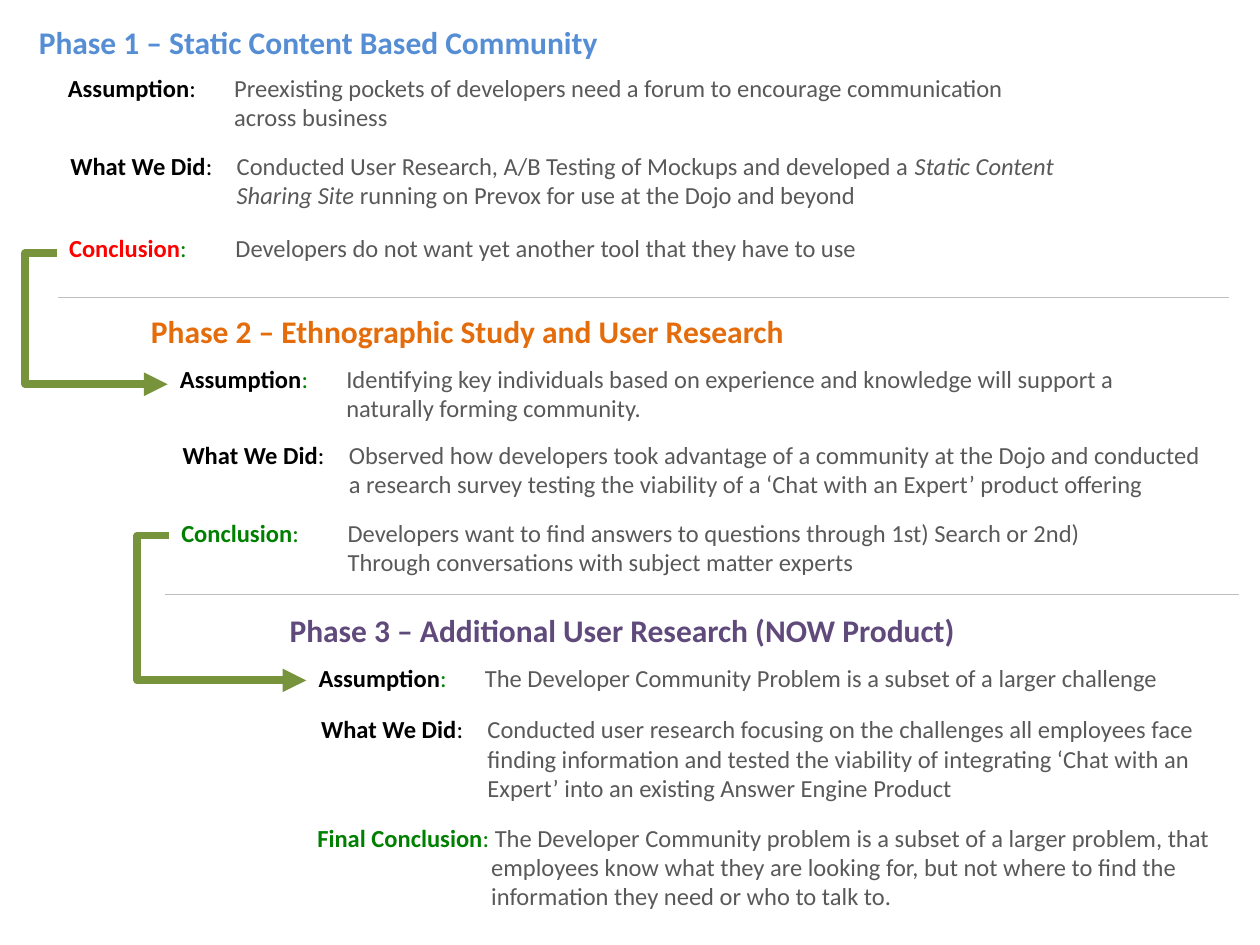
from lxml import etree
from pptx import Presentation
from pptx.dml.color import RGBColor
from pptx.enum.shapes import MSO_CONNECTOR
from pptx.enum.text import MSO_AUTO_SIZE
from pptx.oxml.ns import qn
from pptx.util import Inches, Pt

STRAIGHT = MSO_CONNECTOR.STRAIGHT
ELBOW = MSO_CONNECTOR.ELBOW
GROW = MSO_AUTO_SIZE.SHAPE_TO_FIT_TEXT

FONT = "Calibri"
BLACK, GREEN, RED, GRAY = "000000", "008000", "FF0000", "595959"
OLIVE, RULE = "77933C", "BFBFBF"
HANG = 1.32
RAIL = 0.25

# Row: label, label colour, colon colour, separator, body spans, left offset, top offset, width, hang
PHASES = [
    {
        "title": "Phase 1 – Static Content Based Community",
        "color": "558ED5", "left": 0.21, "top": 0.13, "width": 4.73,
        "rows": [
            ("Assumption", BLACK, BLACK, "\t",
             [("Preexisting pockets of developers need a forum to encourage "
               "communication across business", False)], 0.23, 0.4, 8.08, HANG),
            ("What We Did", BLACK, BLACK, "\t",
             [("Conducted User Research, A/B Testing of Mockups and developed a ", False),
              ("Static Content Sharing Site ", True),
              ("running on Prevox for use at the Dojo and beyond", False)],
             0.25, 1.02, 8.08, HANG),
            ("Conclusion", RED, GREEN, "\t",
             [("Developers do not want yet another tool that they have to use", False)],
             0.24, 1.67, 8.08, HANG),
        ],
    },
    {
        "title": "Phase 2 – Ethnographic Study and User Research",
        "color": "E46C0A", "left": 1.1, "top": 2.43, "width": 5.7,
        "rows": [
            ("Assumption", BLACK, GREEN, "\t",
             [("Identifying key individuals based on experience and knowledge will "
               "support a naturally forming community.", False)], 0.23, 0.41, 7.99, HANG),
            ("What We Did", BLACK, BLACK, "\t",
             [("Observed how developers took advantage of a community at the Dojo and "
               "conducted a research survey testing the viability of a ‘Chat with an "
               "Expert’ product offering", False)], 0.25, 1.01, 8.32, HANG),
            ("Conclusion", GREEN, GREEN, "\t",
             [("Developers want to find answers to questions through 1st) Search or 2nd) "
               "Through conversations with subject matter experts", False)],
             0.24, 1.63, 7.99, HANG),
        ],
    },
    {
        "title": "Phase 3 – Additional User Research (NOW Product)",
        "color": "604A7B", "left": 2.2, "top": 4.8, "width": 5.87,
        "rows": [
            ("Assumption", BLACK, GREEN, "\t",
             [("The Developer Community Problem is a subset of a larger challenge", False)],
             0.23, 0.41, 7.42, HANG),
            ("What We Did", BLACK, BLACK, "\t",
             [("Conducted user research focusing on the challenges all employees face "
               "finding information and tested the viability of integrating ‘Chat with "
               "an Expert’ into an existing Answer Engine Product", False)],
             0.25, 0.82, 7.55, HANG),
            ("Final Conclusion", GREEN, GREEN, " ",
             [("The Developer Community problem is a subset of a larger problem, that "
               "employees know what they are looking for, but not where to find the "
               "information they need or who to talk to.", False)],
             0.22, 1.68, 7.56, 1.38),
        ],
    },
]


def rgb(value):
    """Turn a hex string into a colour."""
    return RGBColor.from_string(value)


def add_text(page, left, top, width, spans, size, hang=0):
    """Add one paragraph of (text, colour, bold, italic) spans with a hanging indent."""
    box = page.shapes.add_textbox(Inches(left), Inches(top), Inches(width), Inches(0.4))
    frame = box.text_frame
    frame.word_wrap = True
    frame.auto_size = GROW
    para = frame.paragraphs[0]
    if hang:
        properties = para._p.get_or_add_pPr()
        properties.set("marL", str(Inches(hang)))
        properties.set("indent", str(-Inches(hang)))
    for text, color, bold, italic in spans:
        span = para.add_run()
        span.text = text
        span.font.name = FONT
        span.font.size = Pt(size)
        span.font.bold = bold
        span.font.italic = italic
        span.font.color.rgb = rgb(color)


def add_line(page, kind, start, end, color, weight):
    """Add a connector without shadow between two points."""
    line = page.shapes.add_connector(kind, *(Inches(value) for value in start + end))
    line.line.color.rgb = rgb(color)
    line.line.width = Pt(weight)
    etree.SubElement(line._element.spPr, qn("a:effectLst"))
    return line


def add_phase(page, phase):
    """Add a phase title and its labelled rows, placed from the title corner."""
    left, top = phase["left"], phase["top"]
    add_text(page, left, top, phase["width"],
             [(phase["title"], phase["color"], True, False)], 18)
    for label, color, colon, gap, body, across, down, width, hang in phase["rows"]:
        spans = [(label, color, True, False), (":" + gap, colon, False, False)]
        spans += [(text, GRAY, False, italic) for text, italic in body]
        add_text(page, left + across, top + down, width, spans, 14, hang)


def add_arrow(page, start, end):
    """Add an elbow arrow that runs down a rail left of its start."""
    arrow = add_line(page, ELBOW, start, end, OLIVE, 4.5)
    guides = arrow._element.spPr.find(qn("a:prstGeom")).get_or_add_avLst()
    bend = round(-RAIL / (end[0] - start[0]) * 100000)
    etree.SubElement(guides, qn("a:gd"), name="adj1", fmla=f"val {bend}")
    outline = arrow._element.spPr.find(qn("a:ln"))
    etree.SubElement(outline, qn("a:tailEnd"), type="triangle")


def main():
    """Build the slide and save it."""
    deck = Presentation()
    deck.slide_width, deck.slide_height = Inches(10), Inches(7.5)
    page = deck.slides.add_slide(deck.slide_layouts[6])
    for phase in PHASES:
        add_phase(page, phase)
    add_arrow(page, (0.45, 2.01), (1.33, 3.05))
    add_arrow(page, (1.34, 4.25), (2.43, 5.4))
    add_line(page, STRAIGHT, (0.46, 2.36), (9.75, 2.36), RULE, 0.75)
    add_line(page, STRAIGHT, (1.31, 4.72), (9.83, 4.72), RULE, 0.75)
    deck.save("out.pptx")


if __name__ == "__main__":
    main()
